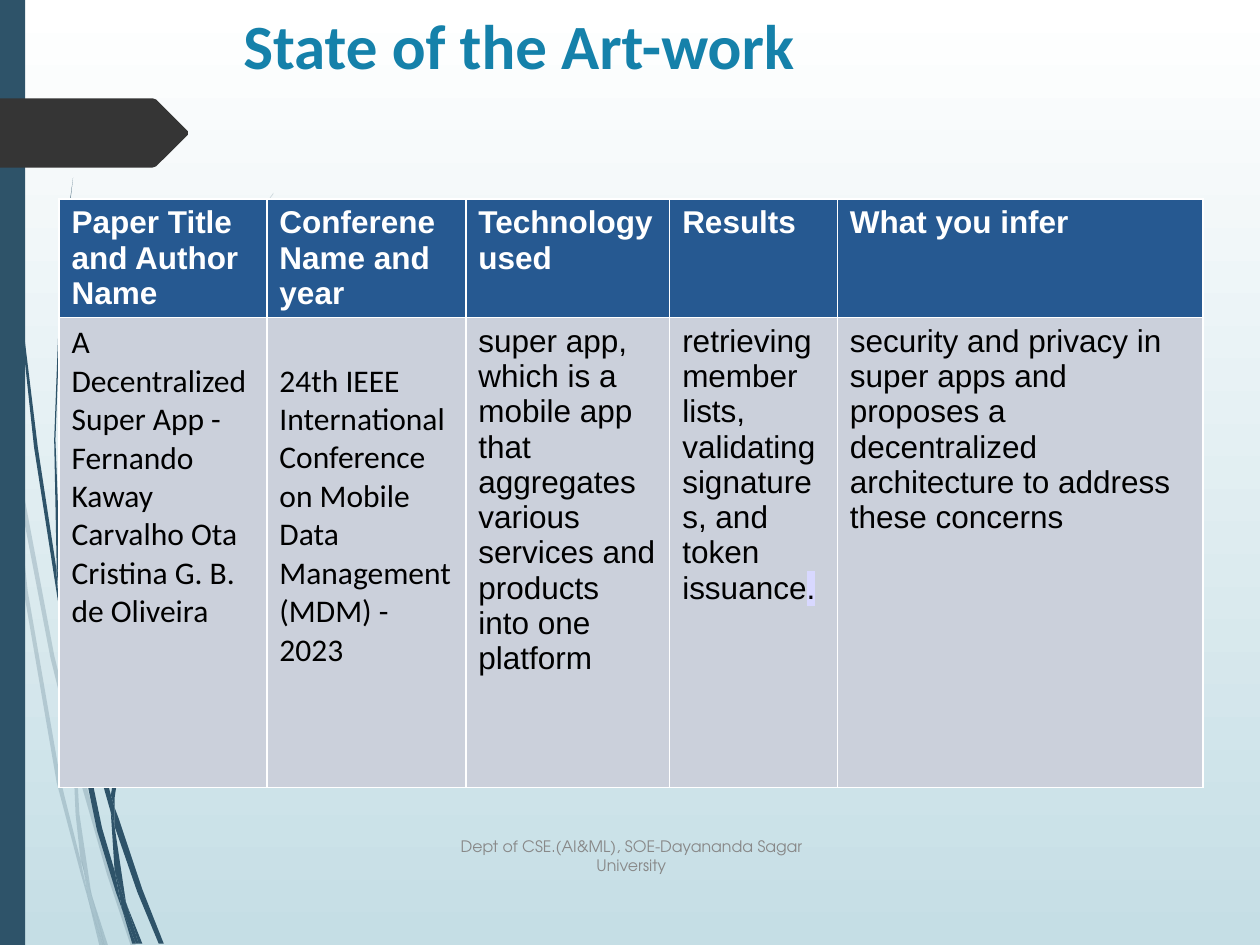
from lxml import etree
from pptx import Presentation
from pptx.dml.color import RGBColor
from pptx.enum.shapes import MSO_SHAPE
from pptx.enum.text import MSO_ANCHOR, MSO_AUTO_SIZE, PP_ALIGN
from pptx.oxml.ns import qn
from pptx.util import Cm, Pt

RECTANGLE = MSO_SHAPE.RECTANGLE
TOP = MSO_ANCHOR.TOP
NO_AUTOFIT = MSO_AUTO_SIZE.NONE
LEFT, CENTER = PP_ALIGN.LEFT, PP_ALIGN.CENTER

WHITE = RGBColor(0xFF, 0xFF, 0xFF)
BLACK = RGBColor(0x00, 0x00, 0x00)
PALE_BLUE = RGBColor(0xC5, 0xDE, 0xE5)
SLATE = RGBColor(0x2E, 0x53, 0x69)
CHARCOAL = RGBColor(0x35, 0x35, 0x35)
TITLE_BLUE = RGBColor(0x15, 0x81, 0xAA)
HEADER_BLUE = RGBColor(0x26, 0x59, 0x91)
CELL_GREY = RGBColor(0xCB, 0xD0, 0xDB)
FOOTER_GREY = RGBColor(0x88, 0x88, 0x88)
HIGHLIGHT = RGBColor(0xD8, 0xD8, 0xFF)

OUTLINE_UNIT = Cm(0.0254)

FAINT_WISPS = [
    [(8, 350), (6, 322), (0, 282), (0, 299), (7, 344)],
    [(40, 522), (59, 599), (59, 586), (43, 520), (10, 345), (12, 376)],
    [(64, 607), (61, 596), (61, 610), (85, 694), (104, 751), (108, 751), (88, 692)],
    [(83, 751), (86, 751), (73, 711)],
    [(64, 683), (48, 619), (22, 469), (12, 376), (8, 350), (19, 470),
     (45, 621), (64, 693), (70, 714), (69, 707)],
    [(58, 599), (60, 646), (64, 683), (67, 692), (73, 711), (72, 706),
     (63, 646), (61, 610), (61, 608)],
    [(61, 584), (76, 462), (111, 349), (159, 245), (187, 198), (201, 175), (217, 154),
     (217, 153), (201, 175), (186, 197), (158, 244), (110, 348), (75, 461),
     (59, 584), (59, 586), (61, 596)],
    [(70, 714), (79, 751), (82, 751)],
    [(61, 608), (61, 610), (61, 596), (59, 586), (58, 599)],
    [(67, 692), (65, 683), (69, 707), (70, 714), (82, 751), (83, 751), (73, 711)],
]
DARK_WISPS = [
    [(5, 110), (14, 233), (27, 355), (46, 477), (47, 481), (45, 457), (45, 453),
     (30, 355), (15, 232), (6, 109), (4, 48), (3, 0), (2, 0), (3, 48)],
    [(73, 592), (88, 645), (88, 633), (88, 631), (77, 590), (50, 472), (53, 505)],
    [(94, 649), (91, 641), (91, 656), (109, 708), (126, 749), (130, 749), (113, 706)],
    [(91, 691), (81, 657), (60, 556), (53, 505), (47, 477), (56, 557), (77, 659),
     (92, 708), (97, 722), (96, 717)],
    [(50, 472), (48, 453), (44, 349), (48, 244), (52, 193), (58, 141), (51, 193),
     (47, 244), (43, 349), (45, 449), (49, 472)],
    [(110, 749), (113, 749), (101, 719)],
    [(47, 477), (53, 505), (50, 472), (49, 472), (45, 449), (45, 453)],
    [(91, 633), (103, 552), (131, 476), (169, 406), (191, 374), (203, 359), (216, 344),
     (215, 344), (203, 358), (191, 373), (168, 405), (129, 474), (101, 551),
     (88, 631), (91, 641)],
    [(97, 722), (105, 749), (108, 749)],
    [(88, 645), (91, 691), (96, 706), (101, 719), (100, 716), (91, 656), (90, 651)],
    [(88, 645), (90, 651), (91, 656), (91, 641), (88, 631), (88, 633)],
    [(96, 706), (91, 691), (96, 717), (97, 722), (108, 749), (110, 749), (101, 719)],
]
ARROW_TAB = [(0, 78), (121, 78), (124, 79), (149, 104), (149, 107), (124, 132),
             (121, 133), (0, 133)]

COLUMN_WIDTHS = [4.19, 4.01, 4.11, 3.38, 7.37]
HEADERS = ["Paper Title and Author Name", "Conferene Name and year", "Technology used",
           "Results", "What you infer"]
BODY = [
    ("Calibri", "A Decentralized Super App - Fernando Kaway Carvalho Ota\n"
                "Cristina G. B. de Oliveira"),
    ("Calibri", "24th IEEE International Conference on Mobile Data Management (MDM) - 2023"),
    ("Arial", "super app, which is a mobile app that aggregates various services and "
              "products into one platform"),
    ("Arial", "retrieving member lists, validating signatures, and token issuance"),
    ("Arial", "security and privacy in super apps and proposes a decentralized "
              "architecture to address these concerns"),
]


def paint(shape, color):
    """Give a shape a plain fill with no line or shadow."""
    shape.fill.solid()
    shape.fill.fore_color.rgb = color
    shape.line.fill.background()
    shape.shadow.inherit = False


def add_outline(shapes, points, color, opacity=100):
    """Add a closed outline whose points are in hundredths of an inch."""
    builder = shapes.build_freeform(*points[0], scale=OUTLINE_UNIT)
    builder.add_line_segments(points[1:], close=True)
    shape = builder.convert_to_shape()
    paint(shape, color)
    if opacity < 100:
        color_element = shape._element.spPr.find(qn("a:solidFill")).find(qn("a:srgbClr"))
        etree.SubElement(color_element, qn("a:alpha"), val=str(opacity * 1000))


def add_wisps(slide, outlines, opacity):
    """Add a group of curved grass blades."""
    group = slide.shapes.add_group_shape()
    for points in outlines:
        add_outline(group.shapes, points, SLATE, opacity)


def format_text(text_frame, name, size, color, bold=False, alignment=LEFT):
    """Format every paragraph of a text frame alike."""
    for paragraph in text_frame.paragraphs:
        paragraph.alignment = alignment
        font = paragraph.font
        font.name, font.size, font.bold = name, Pt(size), bold
        font.color.rgb = color


def set_background(slide):
    """Fill the background with a vertical gradient."""
    fill = slide.background.fill
    fill.gradient()
    fill.gradient_angle = 270
    for stop, color in zip(fill.gradient_stops, (WHITE, PALE_BLUE)):
        stop.color.rgb = color


def set_title(slide):
    """Place and format the title."""
    title = slide.shapes.title
    title.left, title.top, title.width, title.height = Cm(4.65), Cm(0), Cm(18.31), Cm(2.08)
    text_frame = title.text_frame
    text_frame.text = "State of the Art-work"
    text_frame.vertical_anchor = TOP
    text_frame.auto_size = NO_AUTOFIT
    format_text(text_frame, "Calibri", 36, TITLE_BLUE, bold=True)


def fill_cell(cell, text, fill_color, name, color, bold=False):
    """Write and colour one table cell."""
    cell.fill.solid()
    cell.fill.fore_color.rgb = fill_color
    cell.text_frame.text = text
    format_text(cell.text_frame, name, 18, color, bold)


def add_highlighted_run(paragraph, text, color):
    """Append a run with a highlight colour."""
    run = paragraph.add_run()
    run.text = text
    highlight = etree.SubElement(run._r.get_or_add_rPr(), qn("a:highlight"))
    etree.SubElement(highlight, qn("a:srgbClr"), val=str(color))


def add_paper_table(slide):
    """Add the table of surveyed papers."""
    frame = slide.shapes.add_table(2, len(HEADERS), Cm(1.19), Cm(4.01),
                                   Cm(sum(COLUMN_WIDTHS)), Cm(11.84))
    table = frame.table
    table.horz_banding = False
    table.rows[0].height, table.rows[1].height = Cm(2.36), Cm(9.48)
    for index, (width, header, (name, text)) in enumerate(zip(COLUMN_WIDTHS, HEADERS, BODY)):
        table.columns[index].width = Cm(width)
        fill_cell(table.cell(0, index), header, HEADER_BLUE, "Arial", WHITE, bold=True)
        fill_cell(table.cell(1, index), text, CELL_GREY, name, BLACK)
    table.cell(1, 1).margin_top = Cm(0.9)
    add_highlighted_run(table.cell(1, 3).text_frame.paragraphs[0], ".", HIGHLIGHT)


def add_footer(slide):
    """Add the department line."""
    box = slide.shapes.add_textbox(Cm(8.56), Cm(16.61), Cm(8.33), Cm(1.27))
    text_frame = box.text_frame
    text_frame.word_wrap = True
    text_frame.margin_top = text_frame.margin_bottom = Cm(0.25)
    text_frame.text = "Dept of CSE.(AI&ML), SOE-Dayananda Sagar\nUniversity"
    format_text(text_frame, "TeX Gyre Adventor", 9, FOOTER_GREY, alignment=CENTER)


def main():
    """Build the slide and save it."""
    presentation = Presentation()
    presentation.slide_width, presentation.slide_height = Cm(25.4), Cm(19.05)
    slide = presentation.slides.add_slide(presentation.slide_layouts[5])
    set_background(slide)
    add_wisps(slide, FAINT_WISPS, 20)
    add_wisps(slide, DARK_WISPS, 100)
    paint(slide.shapes.add_shape(RECTANGLE, Cm(0), Cm(0), Cm(0.51), Cm(19.05)), SLATE)
    add_outline(slide.shapes, ARROW_TAB, CHARCOAL)
    set_title(slide)
    add_paper_table(slide)
    add_footer(slide)
    presentation.save("out.pptx")


if __name__ == "__main__":
    main()
